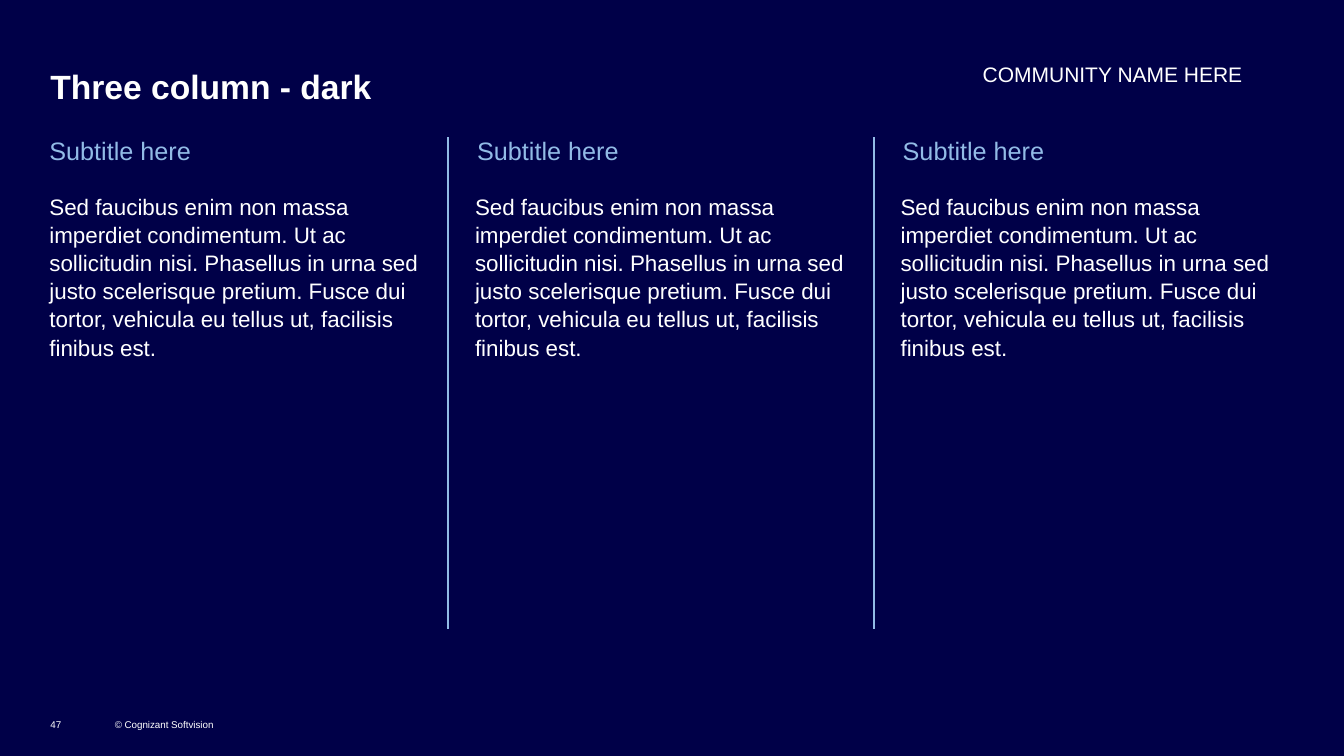
"""Build a dark three-column slide with subtitles, body copy and dividers."""
from dataclasses import dataclass

from lxml import etree
from pptx import Presentation
from pptx import util as u
from pptx.dml.color import RGBColor
from pptx.enum import shapes, text
from pptx.oxml.ns import qn


@dataclass(frozen=True)
class Theme:
    font: str = "Arial"
    navy: RGBColor = RGBColor(0x00, 0x00, 0x48)
    white: RGBColor = RGBColor(0xFF, 0xFF, 0xFF)
    sky: RGBColor = RGBColor(0x92, 0xBB, 0xE6)
    title: int = 24
    subtitle: int = 18
    body: int = 16
    community: int = 15
    footer: int = 7


theme = Theme()


def write(box, bounds, words, size, color=theme.white, spacing=1.0, bold=False,
          anchor=text.MSO_ANCHOR.TOP, align=text.PP_ALIGN.LEFT):
    """Place a box and set its single paragraph."""
    box.left, box.top, box.width, box.height = (u.Pt(value) for value in bounds)
    frame = box.text_frame
    frame.text = words
    frame.word_wrap = True
    frame.auto_size = text.MSO_AUTO_SIZE.NONE
    frame.vertical_anchor = anchor
    frame.margin_left = frame.margin_top = frame.margin_right = frame.margin_bottom = 0
    paragraph = frame.paragraphs[0]
    properties = paragraph._p.get_or_add_pPr()
    properties.set("marL", "0")
    properties.set("indent", "0")
    etree.SubElement(properties, qn("a:buNone"))
    paragraph.alignment = align
    paragraph.line_spacing = spacing
    paragraph.space_before = u.Pt(0)
    paragraph.font.name = theme.font
    paragraph.font.size = u.Pt(size)
    paragraph.font.bold = bold
    paragraph.font.color.rgb = color


def new_box():
    """Add an empty text box."""
    return slide.shapes.add_textbox(0, 0, 0, 0)


deck = Presentation()
deck.slide_width, deck.slide_height = u.Pt(960), u.Pt(540)
slide = deck.slides.add_slide(deck.slide_layouts.get_by_name("Comparison"))
slide.background.fill.solid()
slide.background.fill.fore_color.rgb = theme.navy

write(slide.shapes.title, (36, 44, 851, 24.5), "Three column - dark",
      theme.title, spacing=1.1, bold=True)

copy_text = ("Sed faucibus enim non massa imperdiet condimentum. Ut ac sollicitudin nisi. "
             "Phasellus in urna sed justo scelerisque pretium. Fusce dui tortor, "
             "vehicula eu tellus ut, facilisis finibus est.")
column_left, column_pitch = 35.3, 304
slots = {slot.placeholder_format.idx: slot for slot in slide.placeholders}
columns = [
    (slots[1], slots[2], 0, 276),
    (slots[3], slots[4], 1.5, 276),
    (new_box(), new_box(), 1.5, 281),
]
for number, (subtitle, body, nudge, width) in enumerate(columns):
    left = column_left + number * column_pitch
    write(subtitle, (left + nudge, 94.3, width, 22.3), "Subtitle here",
          theme.subtitle, theme.sky, spacing=1.1)
    write(body, (left, 136.8, width, 317.5), copy_text, theme.body, spacing=1.05)

for number in range(2):
    x = u.Pt(320.2 + number * column_pitch)
    divider = slide.shapes.add_connector(
        shapes.MSO_CONNECTOR.STRAIGHT, x, u.Pt(98), x, u.Pt(449.3))
    divider.line.color.rgb = theme.sky
    divider.line.width = u.Pt(1.25)
    etree.SubElement(divider._element.spPr, qn("a:effectLst"))

write(new_box(), (641, 44, 246.5, 18), "COMMUNITY NAME HERE", theme.community,
      anchor=text.MSO_ANCHOR.MIDDLE, align=text.PP_ALIGN.RIGHT)
for left, width, words in [(36, 28, "47"), (82, 94, "© Cognizant Softvision")]:
    write(new_box(), (left, 507, width, 15), words, theme.footer,
          anchor=text.MSO_ANCHOR.BOTTOM)

deck.save("out.pptx")
